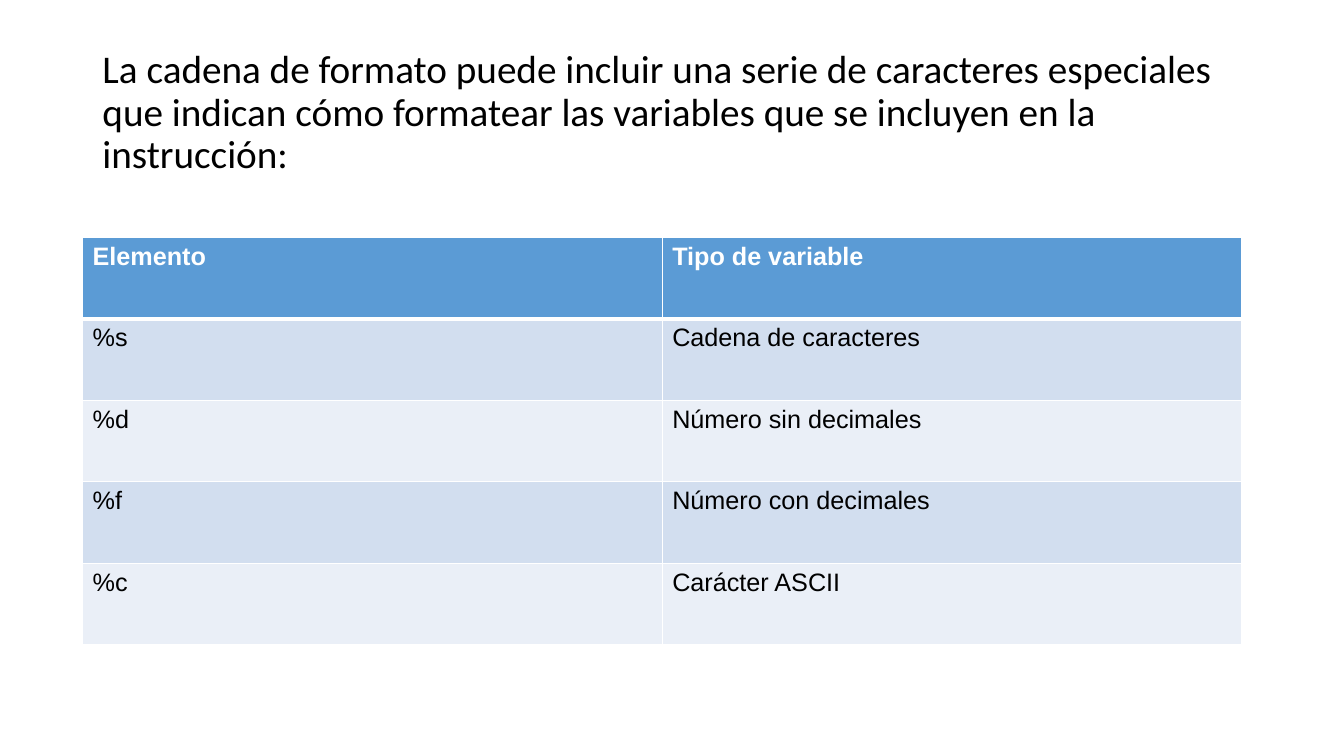
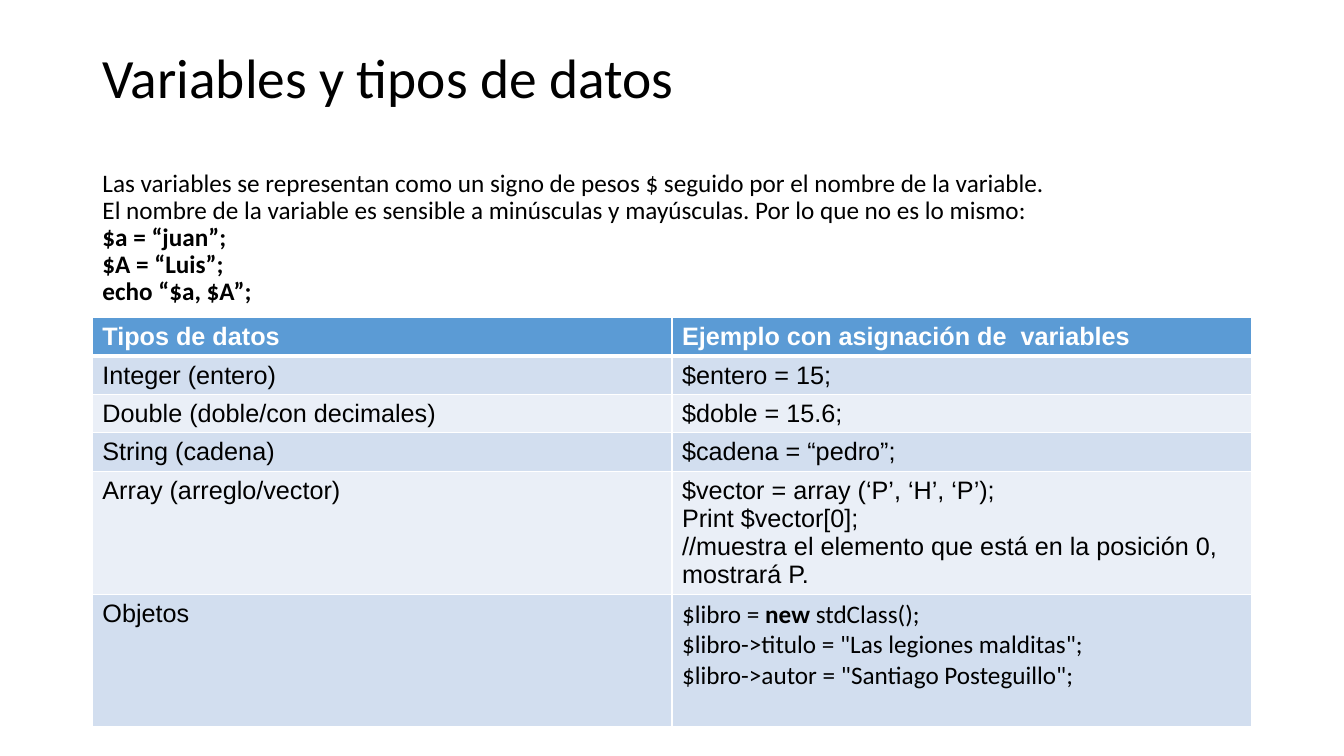
import pptx
import pptx.util
import pptx.dml.color
import pptx.enum.text
import pptx.oxml
import lxml.etree

Pt = pptx.util.Pt

HEADER_BLUE = "5B9BD5"
BAND_BLUES = ("D2DEEF", "EAEFF7")
WHITE = "FFFFFF"
BLACK = "000000"
HEADING_FONT = "Calibri"
TABLE_FONT = "Arial"
CONTENT_WIDTH = 828
TEXT_LEFT = 66

FORMAT_ROWS = [
    ("Elemento", "Tipo de variable"),
    ("%s", "Cadena de caracteres"),
    ("%d", "Número sin decimales"),
    ("%f", "Número con decimales"),
    ("%c", "Carácter ASCII"),
]

DATA_TYPE_ROWS = [
    ("Tipos de datos", "Ejemplo con asignación de  variables"),
    ("Integer (entero)", "$entero = 15;"),
    ("Double (doble/con decimales)", "$doble = 15.6;"),
    ("String (cadena)", "$cadena = “pedro”;"),
    ("Array (arreglo/vector)",
     "$vector = array (‘P’, ‘H’, ‘P’);\nPrint $vector[0];\n"
     "//muestra el elemento que está en la posición 0, mostrará P."),
    ("Objetos",
     "$libro = \n$libro->titulo = \"Las legiones malditas\";\n"
     "$libro->autor = \"Santiago Posteguillo\";"),
]

VARIABLE_RULES = [
    "Las variables se representan como un signo de pesos $ seguido por el nombre de la variable.",
    "El nombre de la variable es sensible a minúsculas y mayúsculas. Por lo que no es lo mismo:",
]
VARIABLE_CODE = ["$a = “juan”;", "$A = “Luis”;", "echo “$a, $A”;"]


def rgb(hex_color):
    return pptx.dml.color.RGBColor.from_string(hex_color)


def format_run(run, size, font, color=BLACK, bold=False):
    run.font.size = Pt(size)
    run.font.name = font
    run.font.bold = bold
    run.font.color.rgb = rgb(color)


def fill_placeholder(placeholder, text, top, height, size):
    placeholder.left, placeholder.top = Pt(TEXT_LEFT), Pt(top)
    placeholder.width, placeholder.height = Pt(CONTENT_WIDTH), Pt(height)
    frame = placeholder.text_frame
    frame.text = text
    frame.word_wrap = True
    frame.auto_size = pptx.enum.text.MSO_AUTO_SIZE.NONE
    for paragraph in frame.paragraphs:
        paragraph.alignment = pptx.enum.text.PP_ALIGN.LEFT
        paragraph.line_spacing = 0.9
        paragraph.space_before = Pt(0)
        for run in paragraph.runs:
            format_run(run, size, HEADING_FONT)
    return frame


def add_title(slide, text, height, size):
    frame = fill_placeholder(slide.shapes.title, text, 28.8, height, size)
    frame.vertical_anchor = pptx.enum.text.MSO_ANCHOR.MIDDLE


def add_explanation(slide, rules, code):
    frame = fill_placeholder(slide.placeholders[1], "\n".join(rules + code), 118, 106, 18)
    frame.vertical_anchor = pptx.enum.text.MSO_ANCHOR.TOP
    for paragraph in frame.paragraphs:
        properties = paragraph._p.get_or_add_pPr()
        properties.set("marL", "0")
        properties.set("indent", "0")
        lxml.etree.SubElement(properties, pptx.oxml.ns.qn("a:buNone"))
    for paragraph in frame.paragraphs[len(rules):]:
        paragraph.runs[0].font.bold = True


def set_borders(cell, bottom_width):
    properties = cell._tc.get_or_add_tcPr()
    for side, width in (("L", 1), ("R", 1), ("T", 1), ("B", bottom_width)):
        border = lxml.etree.SubElement(properties, pptx.oxml.ns.qn("a:ln" + side), w=str(Pt(width)))
        paint = lxml.etree.SubElement(border, pptx.oxml.ns.qn("a:solidFill"))
        lxml.etree.SubElement(paint, pptx.oxml.ns.qn("a:srgbClr"), val=WHITE)


def format_cell(cell, text, row):
    is_header = row == 0
    set_borders(cell, 3 if is_header else 1)
    cell.fill.solid()
    cell.fill.fore_color.rgb = rgb(HEADER_BLUE if is_header else BAND_BLUES[(row - 1) % 2])
    cell.text_frame.text = text
    for paragraph in cell.text_frame.paragraphs:
        for run in paragraph.runs:
            format_run(run, 18, TABLE_FONT, WHITE if is_header else BLACK, is_header)


def add_table(slide, rows, left, top, heights):
    frame = slide.shapes.add_table(
        len(rows), 2, Pt(left), Pt(top), Pt(CONTENT_WIDTH), Pt(sum(heights)))
    table = frame.table
    for row, (texts, height) in enumerate(zip(rows, heights)):
        table.rows[row].height = Pt(height)
        for column, text in enumerate(texts):
            format_cell(table.cell(row, column), text, row)
    return table


def format_object_example(cell):
    declaration = cell.text_frame.paragraphs[0]
    for text in ("new ", "stdClass();"):
        declaration.add_run().text = text
    for paragraph in cell.text_frame.paragraphs:
        for run in paragraph.runs:
            format_run(run, 18, HEADING_FONT, bold=run.text == "new ")


def build_format_slide(deck):
    slide = deck.slides.add_slide(deck.slide_layouts[5])
    add_title(slide, "La cadena de formato puede incluir una serie de caracteres especiales "
              "que indican cómo formatear las variables que se incluyen en la instrucción:",
              104.4, 28)
    add_table(slide, FORMAT_ROWS, 59, 169.5, [58.2] * len(FORMAT_ROWS))


def build_data_types_slide(deck):
    slide = deck.slides.add_slide(deck.slide_layouts[1])
    add_title(slide, "Variables y tipos de datos", 58, 39.6)
    add_explanation(slide, VARIABLE_RULES, VARIABLE_CODE)
    types = add_table(slide, DATA_TYPE_ROWS, TEXT_LEFT, 227, [27.4] * 4 + [87.4, 94.5])
    format_object_example(types.cell(len(DATA_TYPE_ROWS) - 1, 1))


def main():
    deck = pptx.Presentation()
    deck.slide_width, deck.slide_height = Pt(960), Pt(540)
    build_format_slide(deck)
    build_data_types_slide(deck)
    deck.save("out.pptx")


main()
